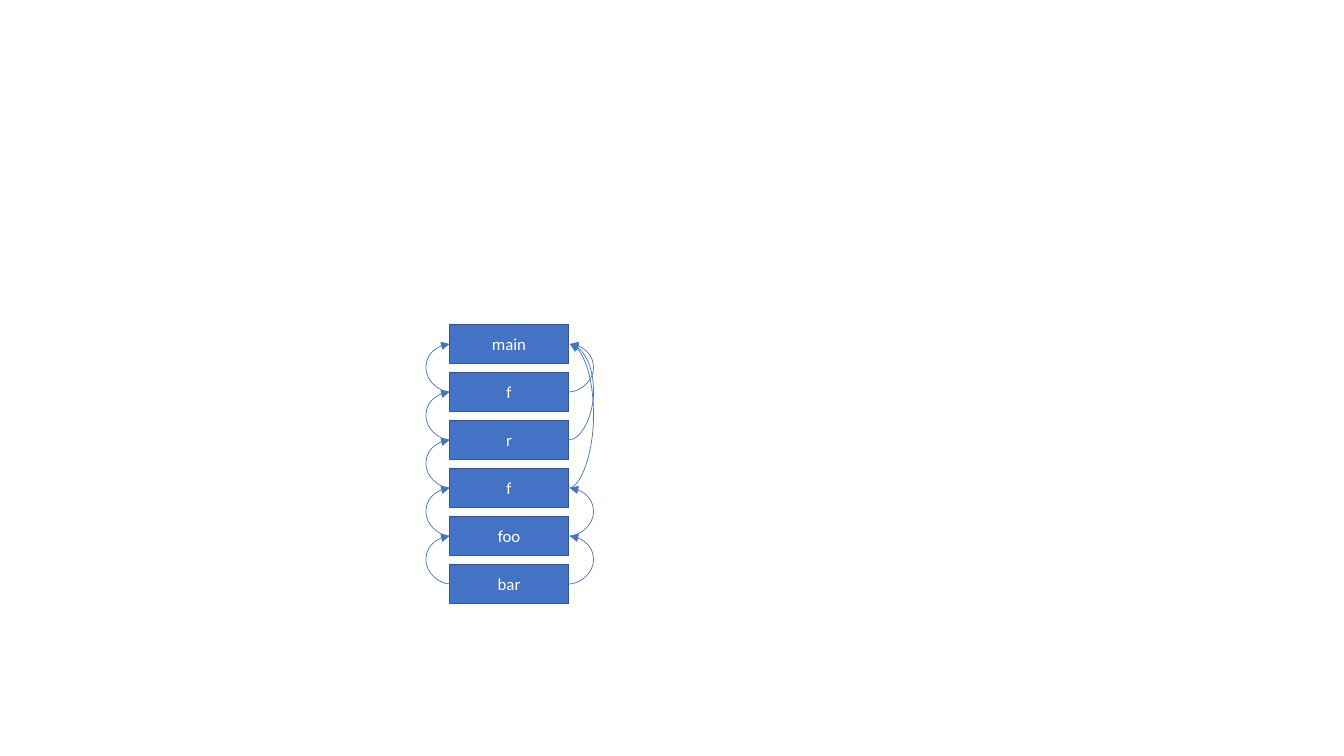
"""Draw a call stack with control links at left and access links at right."""
from lxml import etree
from pptx import Presentation
from pptx.dml.color import RGBColor
from pptx.enum.shapes import MSO_CONNECTOR, MSO_SHAPE
from pptx.enum.text import MSO_ANCHOR, PP_ALIGN
from pptx.oxml.ns import qn
from pptx.util import Pt

RECT = MSO_SHAPE.RECTANGLE
CURVE = MSO_CONNECTOR.CURVE
MIDDLE = MSO_ANCHOR.MIDDLE
CENTER = PP_ALIGN.CENTER
HUES = {"fill": "4472C4", "edge": "325491", "text": "FFFFFF"}
LEFT, TOP, WIDTH, HEIGHT, STEP = 321.1, 231.7, 85, 28.1, 34.3


def write(shape, text, size=12, font="Calibri", hue="text"):
    frame = shape.text_frame
    frame.word_wrap = True
    frame.vertical_anchor = MIDDLE
    line = frame.paragraphs[0]
    line.alignment = CENTER
    run = line.add_run()
    run.text = text
    run.font.size = Pt(size)
    run.font.name = font
    run.font.color.rgb = RGBColor.from_string(HUES[hue])


def link(start, end, side, out):
    ys = [TOP + HEIGHT / 2 + STEP * row for row in (start, end)]
    curve = slide.shapes.add_connector(
        CURVE, Pt(side), Pt(ys[0]), Pt(side + out), Pt(ys[1]))
    curve.line.color.rgb = RGBColor.from_string(HUES["fill"])
    curve.line.width = Pt(0.5)
    props = curve.element.spPr
    bend = props.find(qn("a:prstGeom")).find(qn("a:avLst"))
    etree.SubElement(bend, qn("a:gd"), name="adj1", fmla="val 1800000")
    etree.SubElement(props.find(qn("a:ln")), qn("a:tailEnd"), type="triangle")
    etree.SubElement(props, qn("a:effectLst"))


deck = Presentation()
deck.slide_width, deck.slide_height = Pt(960), Pt(540)
slide = deck.slides.add_slide(deck.slide_layouts[6])

calls = ["main", "f", "r", "f", "foo", "bar"]
for row, name in enumerate(calls):
    box = slide.shapes.add_shape(
        RECT, Pt(LEFT), Pt(TOP + STEP * row), Pt(WIDTH), Pt(HEIGHT))
    box.shadow.inherit = False
    box.fill.solid()
    box.fill.fore_color.rgb = RGBColor.from_string(HUES["fill"])
    box.line.color.rgb = RGBColor.from_string(HUES["edge"])
    box.line.width = Pt(1)
    write(box, name)

for row in range(len(calls) - 1, 0, -1):
    link(row, row - 1, LEFT + 1, -1)

for start, end in [(5, 4), (4, 3), (3, 0), (1, 0), (2, 0)]:
    link(start, end, LEFT + WIDTH, 1)

deck.save("out.pptx")
